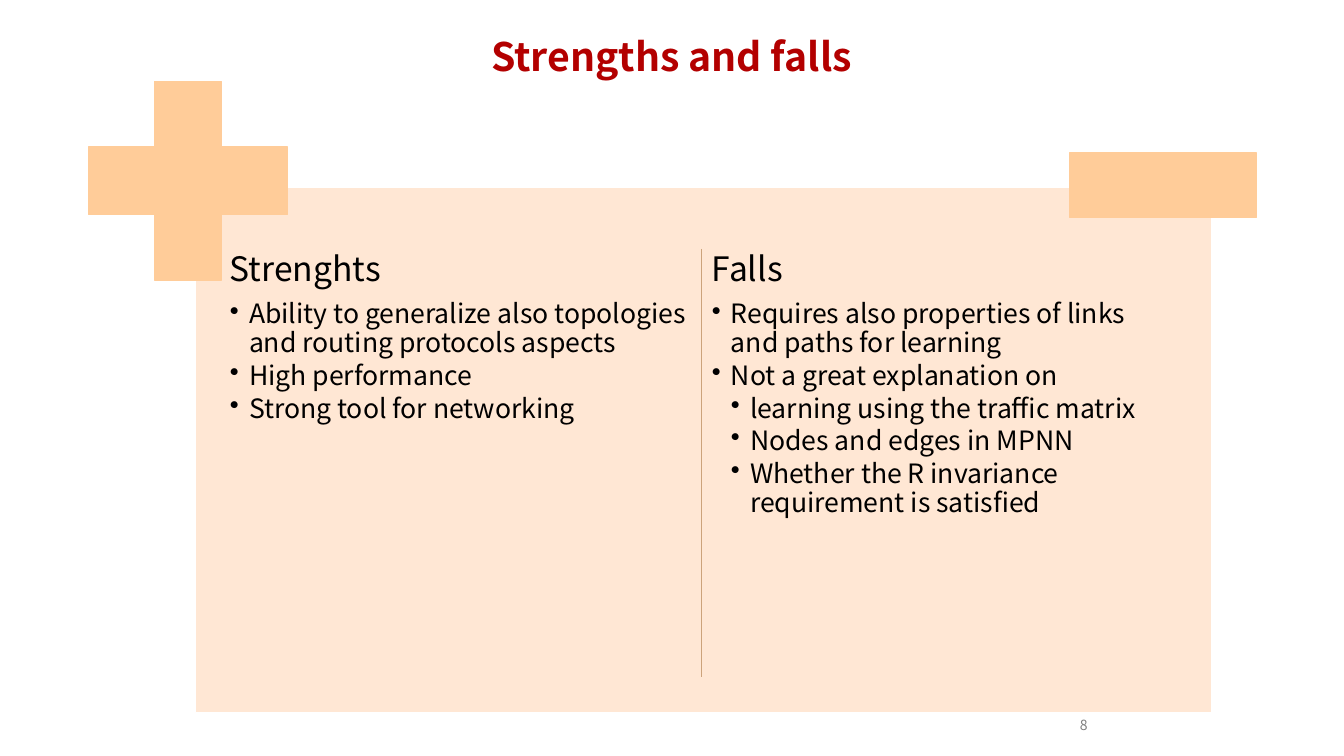
from pptx import Presentation
from pptx.dml.color import RGBColor
from pptx.enum.shapes import MSO_CONNECTOR, MSO_SHAPE
from pptx.enum.text import MSO_ANCHOR, PP_ALIGN
from pptx.oxml.ns import qn
from pptx.util import Inches, Pt

RECT = MSO_SHAPE.RECTANGLE
PLUS = MSO_SHAPE.CROSS
STRAIGHT = MSO_CONNECTOR.STRAIGHT
CENTER = PP_ALIGN.CENTER
MIDDLE = MSO_ANCHOR.MIDDLE
FONT = "Noto Sans CJK SC"
INDENT = 0.19

# Column heading, then (level, text) points
COLUMNS = [
    ("Strenghts", [
        (1, "Ability to generalize also topologies and routing protocols aspects"),
        (1, "High performance"),
        (1, "Strong tool for networking"),
    ]),
    ("Falls", [
        (1, "Requires also properties of links and paths for learning"),
        (1, "Not a great explanation on"),
        (2, "learning using the traffic matrix"),
        (2, "Nodes and edges in MPNN"),
        (2, "Whether the R invariance requirement is satisfied"),
    ]),
]


def color(code):
    return RGBColor.from_string(code)


def add_block(slide, kind, box, fill, edge):
    block = slide.shapes.add_shape(kind, *map(Inches, box))
    block.shadow.inherit = False
    block.fill.solid()
    block.fill.fore_color.rgb = color(fill)
    block.line.color.rgb = color(edge)
    block.line.width = Pt(1)
    return block


def add_frame(slide, box, inset=0):
    frame = slide.shapes.add_textbox(*map(Inches, box)).text_frame
    frame.word_wrap = True
    frame.margin_left = frame.margin_right = Inches(inset)
    frame.margin_top = frame.margin_bottom = Inches(inset)
    return frame


def style(para, size, code, bold=False):
    para.line_spacing = 0.9
    for run in para.runs:
        run.font.name = FONT
        run.font.size = Pt(size)
        run.font.bold = bold
        run.font.color.rgb = color(code)


def add_bullet(para, level):
    para.level = level
    props = para._p.get_or_add_pPr()
    props.set("marL", str(Inches(INDENT * level)))
    props.set("indent", str(-Inches(INDENT)))
    mark = props.makeelement(qn("a:buChar"), {"char": "•"})
    props.append(mark)


def add_column(slide, left, head, points):
    frame = add_frame(slide, (left, 2.46, 4.68, 4.45), 0.05)
    para = frame.paragraphs[0]
    para.text = head
    style(para, 24, "000000")
    para.space_after = Pt(8.4)
    for level, text in points:
        para = frame.add_paragraph()
        para.text = text
        add_bullet(para, level)
        style(para, 19, "000000")
        para.space_after = Pt(2.85)


def add_rule(slide, x, top, bottom):
    rule = slide.shapes.add_connector(
        STRAIGHT, Inches(x), Inches(top), Inches(x), Inches(bottom))
    rule.line.color.rgb = color("CCA37B")
    rule.line.width = Pt(1)
    props = rule._element.spPr
    props.append(props.makeelement(qn("a:effectLst"), {}))


def main():
    deck = Presentation()
    deck.slide_width = Inches(13.33)
    deck.slide_height = Inches(7.5)
    slide = deck.slides.add_slide(deck.slide_layouts[6])

    # Page number
    frame = add_frame(slide, (10.71, 7.13, 0.36, 0.29))
    frame.text = "8"
    style(frame.paragraphs[0], 10, "808080")

    # Title
    frame = add_frame(slide, (0.56, 0.29, 12.2, 0.59))
    frame.vertical_anchor = MIDDLE
    frame.text = "Strengths and falls"
    frame.paragraphs[0].alignment = CENTER
    style(frame.paragraphs[0], 28, "B30000", True)

    # Panel with its two columns
    add_block(slide, RECT, (1.94, 1.86, 10.08, 5.21), "FFE7D4", "FFFFFF")
    for i, (head, points) in enumerate(COLUMNS):
        add_column(slide, 2.23 + 4.78 * i, head, points)

    # Plus and minus signs
    plus = add_block(slide, PLUS, (0.88, 0.81, 1.97, 1.97), "FFCC99", "FFCC99")
    plus.adjustments[0] = 0.33
    add_block(slide, RECT, (10.61, 1.52, 1.85, 0.64), "FFCC99", "FFCC99")

    # Divider
    add_rule(slide, 6.96, 2.47, 6.72)
    deck.save("out.pptx")


if __name__ == "__main__":
    main()
